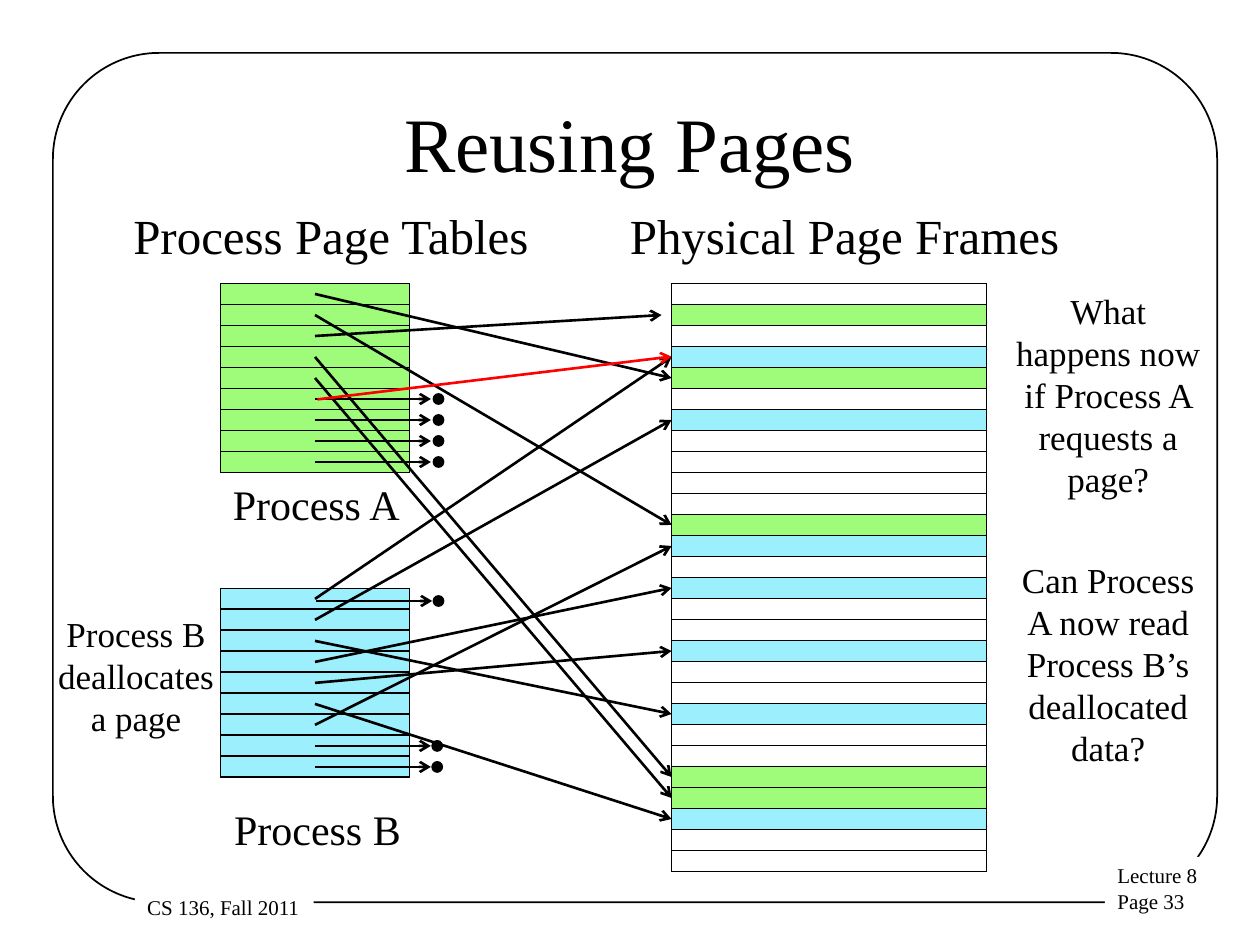
"""Build the Reusing Pages slide: two process page tables mapped onto physical frames."""
from lxml.etree import SubElement
from pptx import Presentation
from pptx.dml.color import RGBColor
from pptx.enum.shapes import MSO_CONNECTOR, MSO_SHAPE
from pptx.enum.text import MSO_ANCHOR, MSO_AUTO_SIZE, PP_ALIGN
from pptx.oxml.ns import qn
from pptx.util import Inches, Pt


def color(value):
    return RGBColor.from_string(value)


def add_shape(kind, left, top, width, height, fill=None):
    shape = page.shapes.add_shape(
        kind, Inches(left), Inches(top), Inches(width), Inches(height))
    shape.shadow.inherit = False
    if fill:
        shape.fill.solid()
        shape.fill.fore_color.rgb = color(fill)
    else:
        shape.fill.background()
    shape.line.color.rgb = color(BLACK)
    shape.line.width = Pt(1)
    return shape


BLACK, WHITE, RED = "000000", "FFFFFF", "FF0000"
GREEN, BLUE = "9EFC7A", "9CEFFD"
ROW = 1 / 6
TABLE_ROWS, FRAME_ROWS = 9, 28
TABLE_LEFT, TABLE_WIDTH = 1.75, 1.5
FRAME_LEFT, FRAME_TOP, FRAME_WIDTH = 5.33, 2.25, 2.5
ARROW_LEFT, UNMAPPED_RIGHT, DOT = 2.5, 3.42, 0.08

processes = [
    (2.25, GREEN, 3.44, [4, 11, 1, 23, 24]),
    (4.67, BLUE, 3.43, [3, 6, 20, 14, 17, 25, 12]),
]

deck = Presentation()
deck.slide_width, deck.slide_height = Inches(10), Inches(7.5)
page = deck.slides.add_slide(deck.slide_layouts[6])

border = add_shape(MSO_SHAPE.ROUNDED_RECTANGLE, 0.42, 0.42, 9.24, 6.74)
border.adjustments[0] = 0.125

frame_colors = [WHITE] * FRAME_ROWS
arrows, dots = [], []
for table_top, fill, dot_left, frames in processes:
    add_shape(MSO_SHAPE.RECTANGLE, TABLE_LEFT, table_top,
              TABLE_WIDTH, TABLE_ROWS * ROW, fill)
    for row in range(TABLE_ROWS):
        top = table_top + row * ROW
        middle = top + ROW / 2
        add_shape(MSO_SHAPE.RECTANGLE, TABLE_LEFT, top, TABLE_WIDTH, ROW, fill)
        if row < len(frames):
            frame = frames[row]
            frame_colors[frame] = fill
            right = 5.25 if frame == 1 else FRAME_LEFT
            target = FRAME_TOP + (frame + 0.5) * ROW
            arrows.append((ARROW_LEFT, middle, right, target, BLACK))
        else:
            arrows.append((ARROW_LEFT, middle, UNMAPPED_RIGHT, middle, BLACK))
            dots.append((dot_left, middle))

arrows.append((2.51, 4.77, 3.43, 4.77, BLACK))
dots.append((3.44, 4.77))
arrows.append((2.52, 3.17, FRAME_LEFT, 2.83, RED))

for left, top, right, bottom, line_color in arrows:
    arrow = page.shapes.add_connector(
        MSO_CONNECTOR.STRAIGHT, Inches(left), Inches(top), Inches(right), Inches(bottom))
    arrow.line.color.rgb = color(line_color)
    arrow.line.width = Pt(1.5)
    properties = arrow._element.spPr
    SubElement(properties.get_or_add_ln(), qn("a:tailEnd"), type="arrow")
    SubElement(properties, qn("a:effectLst"))

for left, middle in dots:
    add_shape(MSO_SHAPE.OVAL, left, middle - DOT / 2, DOT, DOT, BLACK)

add_shape(MSO_SHAPE.RECTANGLE, FRAME_LEFT, FRAME_TOP, FRAME_WIDTH, FRAME_ROWS * ROW)
for row, fill in enumerate(frame_colors):
    add_shape(MSO_SHAPE.RECTANGLE, FRAME_LEFT, FRAME_TOP + row * ROW,
              FRAME_WIDTH, ROW, fill)

labels = [
    ("Lecture 8\nPage 33", 8.77, 6.8, 1.27, 0.5, 12, False, WHITE),
    ("CS 136, Fall 2011", 1.07, 7.05, 1.42, 0.3, 12, False, WHITE),
    ("Reusing Pages", 0.75, 0.5, 8.5, 1.25, 44, True, None),
    ("Process A", 1.75, 3.75, 1.54, 0.5, 24, False, None),
    ("Process B", 1.76, 6.33, 1.56, 0.5, 24, False, None),
    ("Process Page Tables", 0.96, 1.58, 3.37, 0.57, 28, False, None),
    ("Physical Page Frames", 4.9, 1.58, 3.61, 0.57, 28, False, None),
    ("What happens now if Process A requests a page?",
     7.92, 2.25, 1.75, 1.77, 20, True, None),
    ("Can Process A now read Process B’s deallocated data?",
     7.92, 4.38, 1.75, 1.77, 20, True, None),
    ("Process B deallocates a page", 0.33, 4.81, 1.5, 1.1, 20, True, None),
]
for text, left, top, width, height, size, centered, fill in labels:
    box = page.shapes.add_textbox(Inches(left), Inches(top), Inches(width), Inches(height))
    if fill:
        box.fill.solid()
        box.fill.fore_color.rgb = color(fill)
    box.text_frame.text = text
    box.text_frame.word_wrap = centered
    if size == 44:
        box.text_frame.vertical_anchor = MSO_ANCHOR.MIDDLE
    else:
        box.text_frame.auto_size = MSO_AUTO_SIZE.SHAPE_TO_FIT_TEXT
    for para in box.text_frame.paragraphs:
        para.alignment = PP_ALIGN.CENTER if centered else PP_ALIGN.LEFT
        for span in para.runs:
            span.font.name = "Times New Roman"
            span.font.size = Pt(size)
            span.font.color.rgb = color(BLACK)

deck.save("out.pptx")
